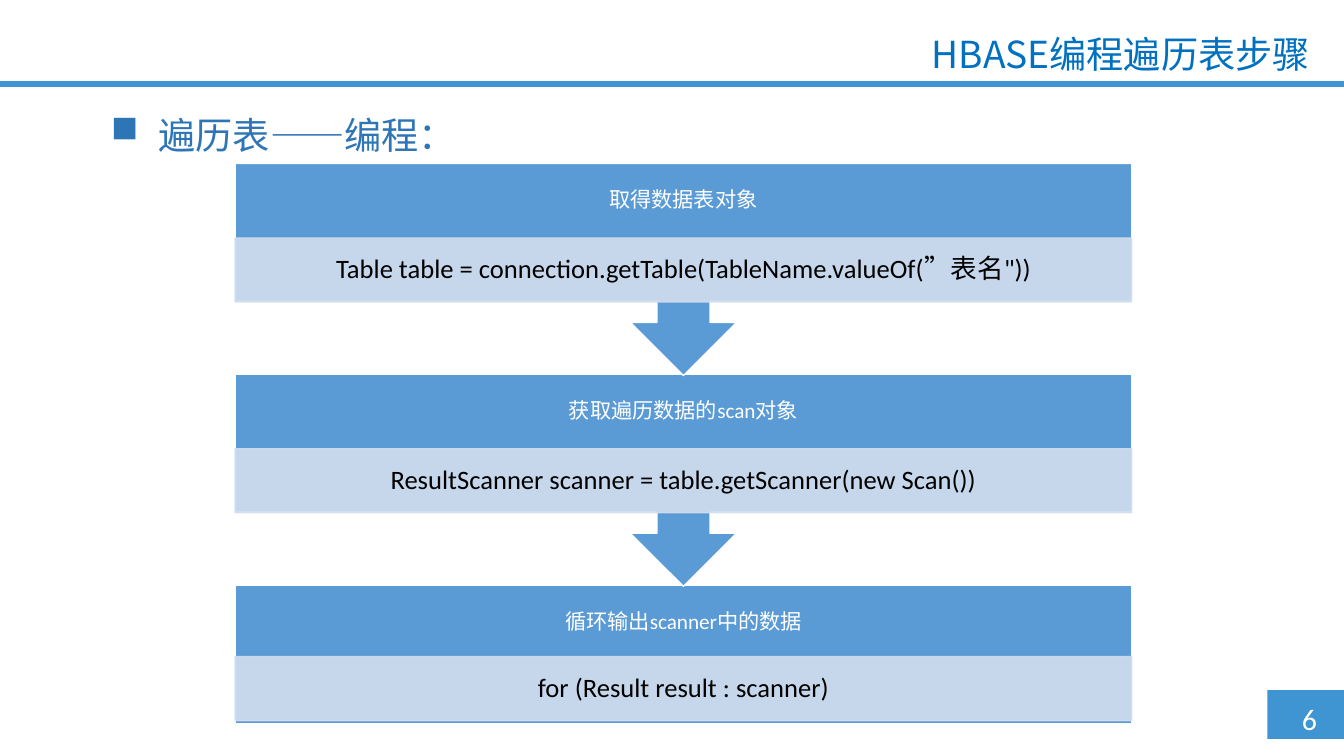
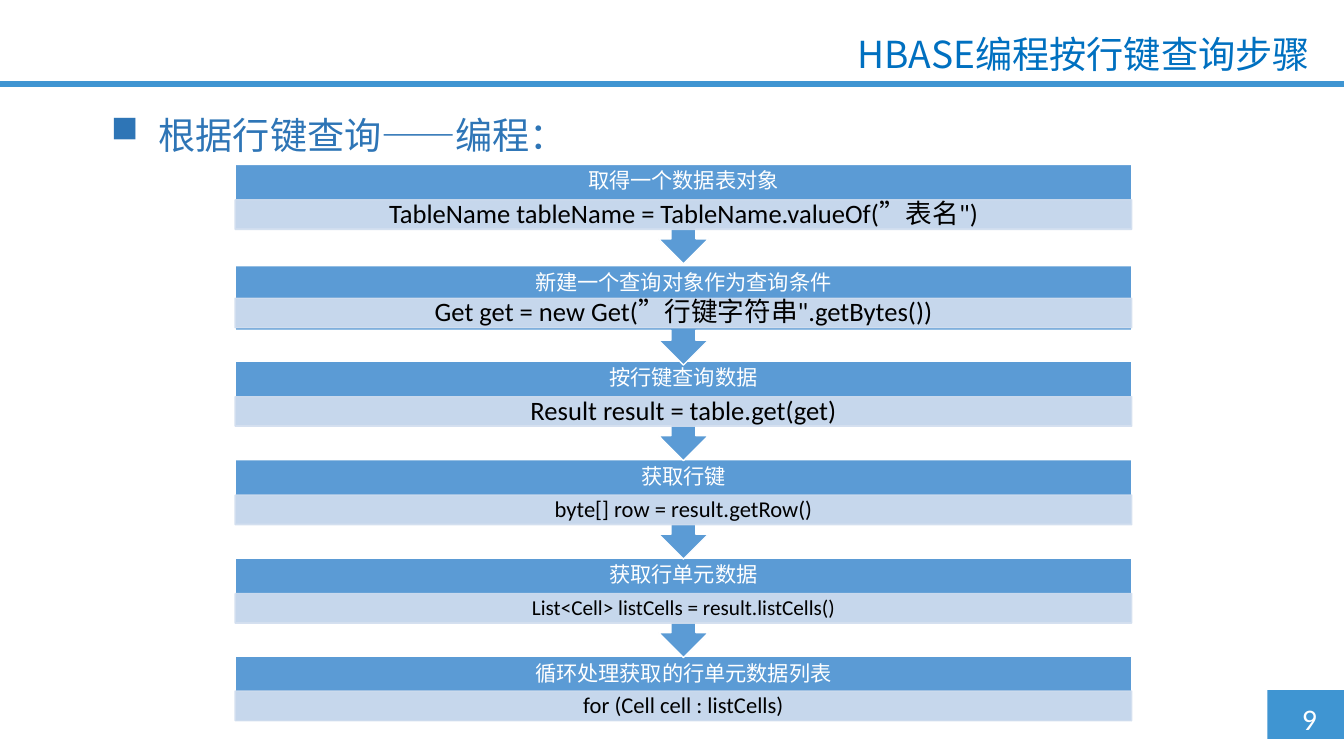
"""Build two slides showing HBase programming steps as stacked arrow callouts."""
from lxml.etree import SubElement
from pptx import Presentation
from pptx.dml.color import RGBColor
from pptx.enum.shapes import MSO_SHAPE
from pptx.enum.text import MSO_ANCHOR, MSO_AUTO_SIZE, PP_ALIGN
from pptx.oxml.ns import qn
from pptx.util import Inches, Pt

SLIDES = [
    {
        "title": "HBASE编程遍历表步骤",
        "heading": "遍历表——编程：",
        "number": "6",
        "steps": [
            ("取得数据表对象", 'Table table = connection.getTable(TableName.valueOf(”表名"))', 20),
            ("获取遍历数据的scan对象", "ResultScanner scanner = table.getScanner(new Scan())", 20),
            ("循环输出scanner中的数据", "for (Result result : scanner)", 20),
        ],
        "flow": {"top": 1.71, "pitch": 2.205, "callout": 2.22, "last": 1.45,
                 "head": 0.78, "last_head": 0.75, "band": 0.67, "nudge": {}},
    },
    {
        "title": "HBASE编程按行键查询步骤",
        "heading": "根据行键查询——编程：",
        "number": "9",
        "steps": [
            ("取得一个数据表对象", 'TableName tableName = TableName.valueOf(”表名")', 20),
            ("新建一个查询对象作为查询条件", 'Get get = new Get(”行键字符串".getBytes())', 20),
            ("按行键查询数据", "Result result = table.get(get)", 20),
            ("获取行键", "byte[] row = result.getRow()", 17),
            ("获取行单元数据", "List<Cell> listCells = result.listCells()", 16),
            ("循环处理获取的行单元数据列表", "for (Cell cell : listCells)", 17),
        ],
        "flow": {"top": 1.72, "pitch": 1.03, "callout": 1.04, "last": 0.68,
                 "head": 0.37, "last_head": 0.36, "band": 0.31, "nudge": {1: 0.03}},
    },
]

SANS, CJK = "Calibri", "Noto Sans CJK SC"
ACCENT, STEP, BAND = "3F95D2", "5B9BD5", "D2DEEF"
TITLE, HEADING, WHITE, BLACK = "0070C0", "2E75B6", "FFFFFF", "000000"
LEFT, WIDTH = 2.46, 9.38
BODY_SHARE = 0.65


def rgb(value):
    """Turn a hex string into a colour."""
    return RGBColor.from_string(value)


def place(sp, left, top, width, height):
    """Move and size a shape, in inches."""
    box = {"left": left, "top": top, "width": width, "height": height}
    for name, value in box.items():
        setattr(sp, name, Inches(value))


def write(sp, text, size, color, font=SANS, align=PP_ALIGN.LEFT, spacing=1.0, bullet=False, **frame):
    """Write one formatted paragraph into a shape."""
    tf = sp.text_frame
    settings = {"word_wrap": True, "auto_size": MSO_AUTO_SIZE.NONE,
                "vertical_anchor": MSO_ANCHOR.TOP, **frame}
    for name, value in settings.items():
        setattr(tf, name, value)
    p = tf.paragraphs[0]
    for name, value in {"alignment": align, "line_spacing": spacing, "space_before": Pt(0)}.items():
        setattr(p, name, value)
    if bullet:
        pPr = p._p.get_or_add_pPr()
        pPr.set("marL", str(Inches(0.5)))
        pPr.set("indent", str(-Inches(0.5)))
        SubElement(pPr, qn("a:buFont"), typeface="Wingdings")
        SubElement(pPr, qn("a:buChar"), char="n")
    r = p.add_run()
    r.text = text
    for name, value in {"name": font, "size": Pt(size)}.items():
        setattr(r.font, name, value)
    r.font.color.rgb = rgb(color)
    SubElement(r._r.get_or_add_rPr(), qn("a:ea"), typeface=CJK)


def add_block(s, kind, box, fill, line=None, alpha=None):
    """Add a flat filled shape."""
    sp = s.shapes.add_shape(kind, *map(Inches, box))
    sp.shadow.inherit = False
    sp.fill.solid()
    sp.fill.fore_color.rgb = rgb(fill)
    if line:
        sp.line.color.rgb = rgb(line)
        sp.line.width = Pt(1)
    else:
        sp.line.fill.background()
    if alpha:
        for clr in sp.element.spPr.iter(qn("a:srgbClr")):
            SubElement(clr, qn("a:alpha"), val=str(alpha * 1000))
    return sp


def decorate(layout, s):
    """Move the rule and the number tile into the layout."""
    for box in ((13.26, 7.22, 0.8, 0.51), (0, 0.85, 14.06, 0.06)):
        sp = add_block(s, MSO_SHAPE.RECTANGLE, box, ACCENT)
        layout.shapes.element.append(sp.element)


def add_flow(s, steps, flow):
    """Stack the steps, drawing the last one first so that arrows overlap it."""
    centred = {"align": PP_ALIGN.CENTER, "spacing": 0.9, "vertical_anchor": MSO_ANCHOR.MIDDLE}
    for i, (label, code, size) in reversed(list(enumerate(steps))):
        last = i == len(steps) - 1
        row = flow["top"] + i * flow["pitch"]
        height = flow["last"] if last else flow["callout"]
        body = height if last else height * BODY_SHARE
        kind = MSO_SHAPE.RECTANGLE if last else MSO_SHAPE.DOWN_ARROW_CALLOUT
        top = row + flow["nudge"].get(i, 0)
        sp = add_block(s, kind, (LEFT, top, WIDTH, height), STEP, WHITE)
        if not last:
            for n, value in enumerate((0.25, 0.25, 0.25, BODY_SHARE)):
                sp.adjustments[n] = value
        write(sp, label, 16, WHITE, margin_top=0, margin_bottom=Inches(body - flow["head"]), **centred)

        band_top = row + flow["last_head" if last else "head"]
        band = add_block(s, MSO_SHAPE.RECTANGLE, (LEFT, band_top, WIDTH, flow["band"]), BAND, BAND, 90)
        write(band, code, size, BLACK, margin_top=Inches(0.03), margin_bottom=Inches(0.03), **centred)


def main():
    """Build and save the presentation."""
    prs = Presentation()
    prs.slide_width, prs.slide_height = Inches(14.06), Inches(7.91)
    layout = prs.slide_layouts[1]
    for i, content in enumerate(SLIDES):
        s = prs.slides.add_slide(layout)
        if i == 0:
            decorate(layout, s)
        title, heading = s.placeholders
        place(title, 6.4, 0.33, 7.4, 0.4)
        write(title, content["title"], 28, TITLE, CJK, PP_ALIGN.RIGHT, 0.9)
        place(heading, 1.06, 1.12, 12.41, 0.57)
        write(heading, content["heading"], 28, HEADING, CJK, bullet=True)
        add_flow(s, content["steps"], content["flow"])
        number = s.shapes.add_textbox(*map(Inches, (13.52, 7.28, 0.65, 0.48)))
        write(number, content["number"], 22.5, WHITE, word_wrap=False)
    prs.save("out.pptx")


if __name__ == "__main__":
    main()
